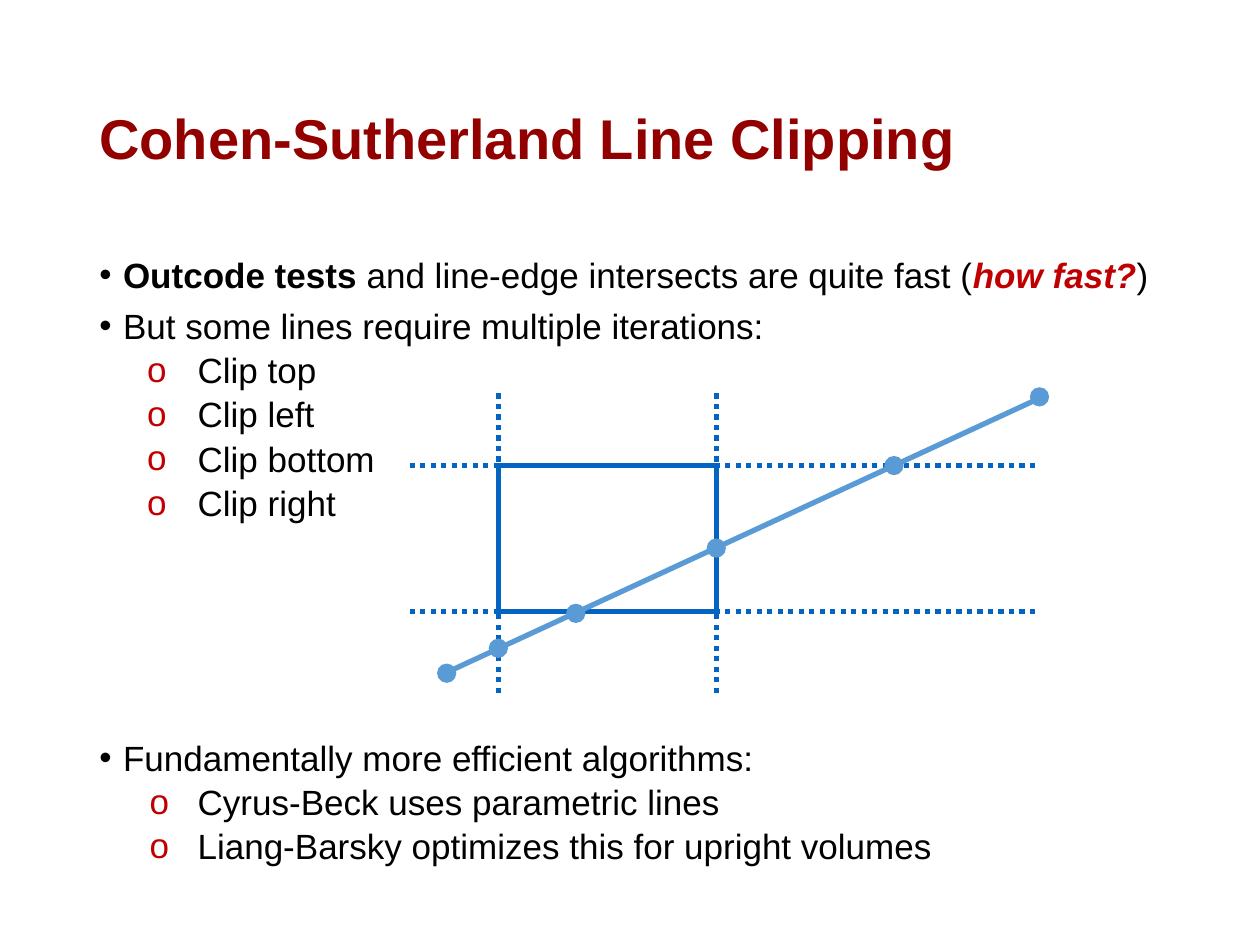
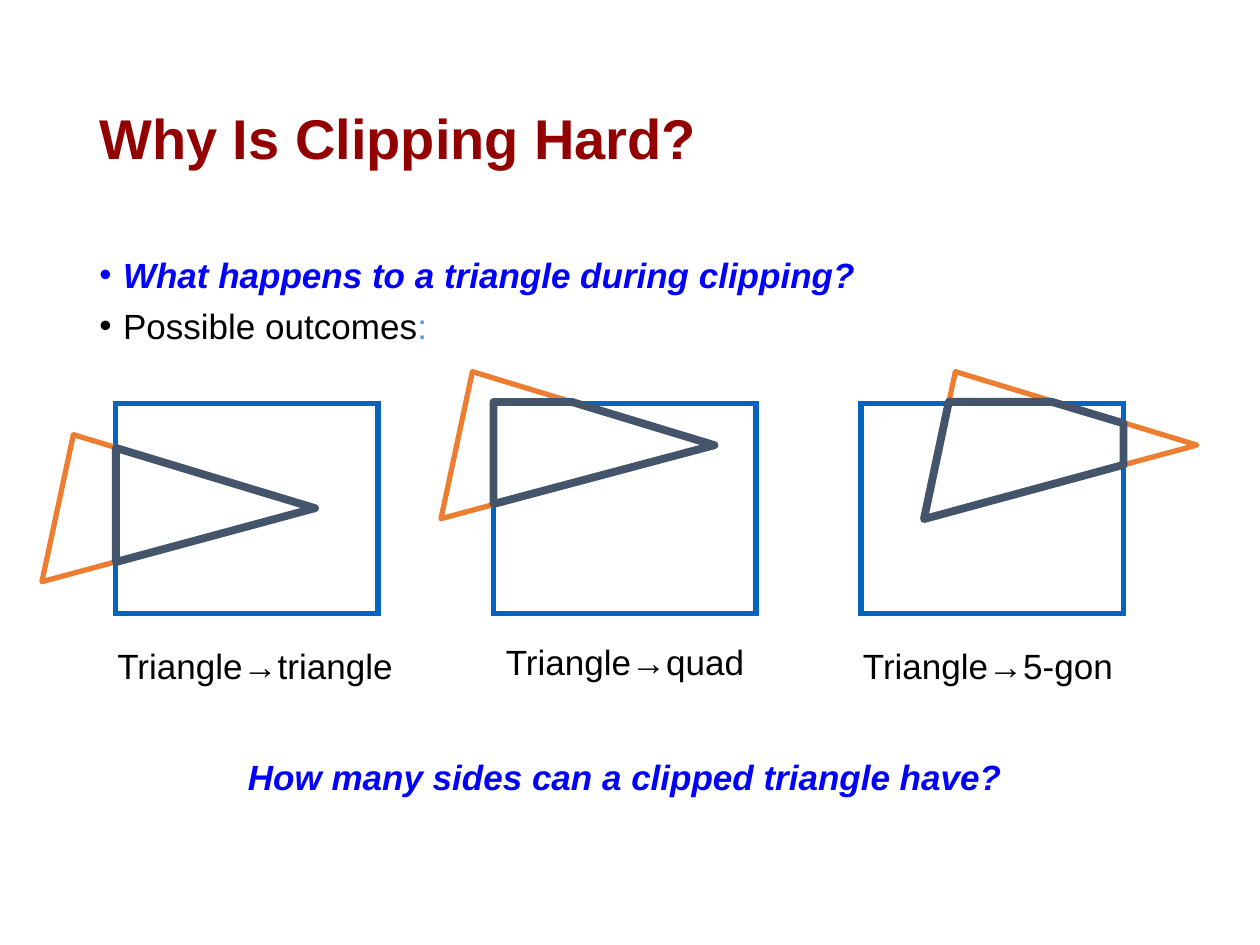
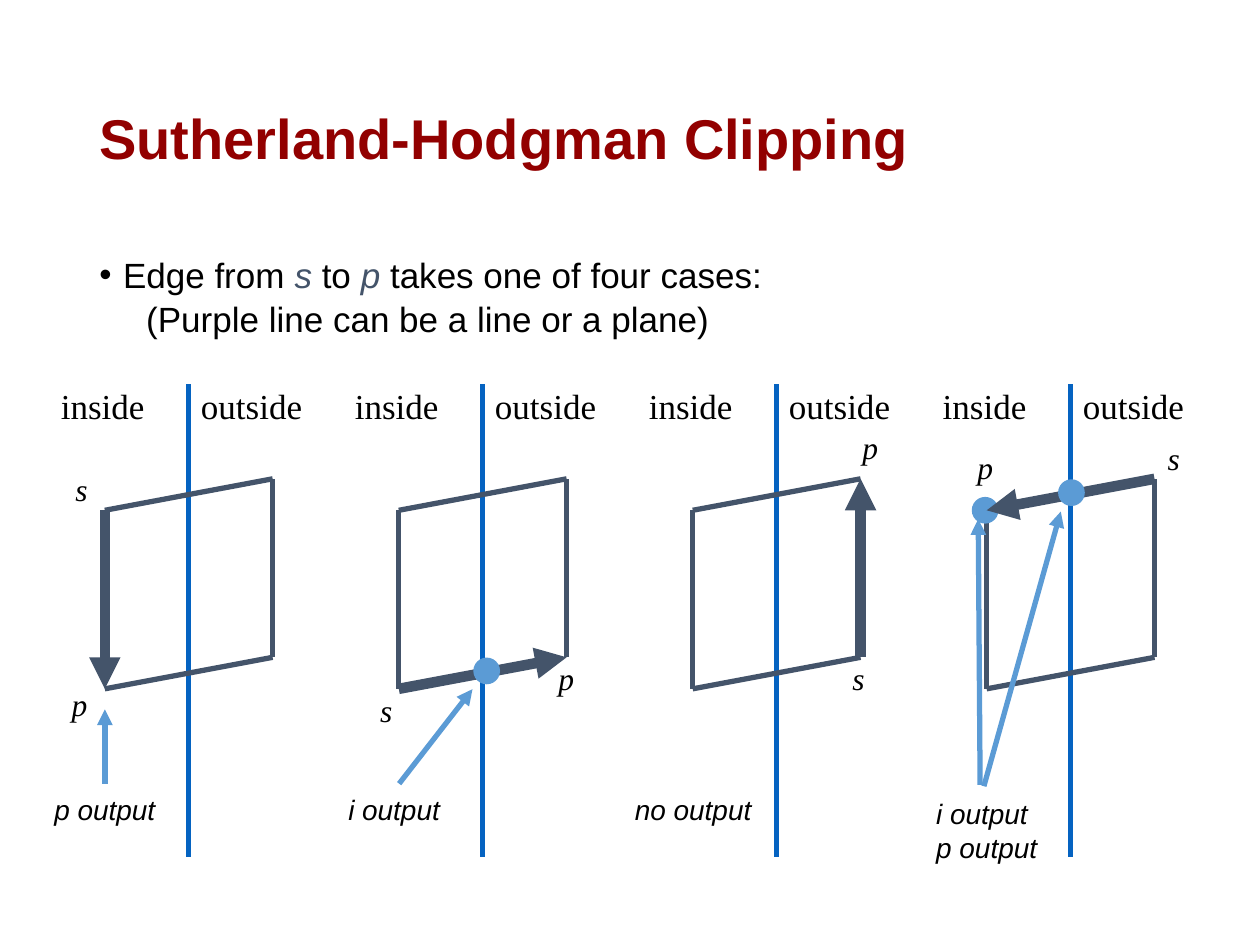
import dataclasses
import typing

import lxml.etree
import pptx
import pptx.dml.color
import pptx.enum.dml
import pptx.enum.shapes
import pptx.enum.text
import pptx.oxml.ns
import pptx.util

Point = tuple[float, float]
Box = tuple[float, float, float, float]
ALIGN = pptx.enum.text.PP_ALIGN
ANCHOR = pptx.enum.text.MSO_ANCHOR
FIT = pptx.enum.text.MSO_AUTO_SIZE
SHAPE = pptx.enum.shapes.MSO_SHAPE


@dataclasses.dataclass(frozen=True)
class Theme:
    sans: str = "Arial"
    serif: str = "Times New Roman"
    ink: str = "000000"
    paper: str = "FFFFFF"
    title: str = "920000"
    red: str = "C00000"
    ask: str = "0000FF"
    edge: str = "0563C1"
    sky: str = "5B9BD5"
    slate: str = "44546A"
    orange: str = "ED7D31"
    head: float = 32
    text: float = 20
    mark: float = 18
    note: float = 16
    line: float = 3
    core: float = 4.5
    bold: float = 6
    lead: float = 0.9


T = Theme()


@dataclasses.dataclass(frozen=True)
class Run:
    text: str
    color: str = T.ink
    bold: bool = False
    italic: bool = False


@dataclasses.dataclass(frozen=True)
class Item:
    """A list paragraph; left and hang are in columns, before in points."""
    runs: tuple[Run, ...]
    left: float = 1.88
    hang: float = 1.88
    mark: str = "•"
    tint: str = ""
    before: float = 7.5
    level: int = 0


@dataclasses.dataclass(frozen=True)
class Clip:
    """A window, a triangle, and the part of it that stays."""
    left: float
    tri: Point
    core: tuple[Point, ...]
    name: str
    spot: Box


@dataclasses.dataclass(frozen=True)
class Case:
    """One edge case; columns count from the left of the case."""
    edge: int
    s: Point
    p: Point
    note: str
    spot: Box
    arrows: tuple[tuple[Point, Point], ...] = ()
    ends: tuple[Point, ...] = ()
    hits: tuple[Point, ...] = ()


deck = pptx.Presentation()
deck.slide_width = pptx.util.Inches(10)
deck.slide_height = pptx.util.Inches(7.5)
COLS, ROWS = 100, 75


def col(n: float) -> int:
    return round(deck.slide_width * n / COLS)


def row(n: float) -> int:
    return round(deck.slide_height * n / ROWS)


def area(box: Box) -> tuple[int, int, int, int]:
    x, y, w, h = box
    return col(x), row(y), col(w), row(h)


def rgb(code: str) -> pptx.dml.color.RGBColor:
    return pptx.dml.color.RGBColor.from_string(code)


def node(parent: typing.Any, tag: str, **attrs: str) -> typing.Any:
    return lxml.etree.SubElement(parent, pptx.oxml.ns.qn(tag), attrs)


def put(para: typing.Any, text: str, *, size: float = T.text, font: str = T.sans,
        color: str = T.ink, bold: bool = False, italic: bool = False) -> None:
    """Add a run of text to a paragraph."""
    run = para.add_run()
    run.text = text
    face = run.font
    face.size, face.name = pptx.util.Pt(size), font
    face.bold, face.italic = bold, italic
    face.color.rgb = rgb(color)


def label(slide: typing.Any, text: str, box: Box, fill: str = "", **form: typing.Any) -> None:
    """Add a text box that grows with its lines."""
    shape = slide.shapes.add_textbox(*area(box))
    if fill:
        shape.fill.solid()
        shape.fill.fore_color.rgb = rgb(fill)
    frame = shape.text_frame
    frame.word_wrap, frame.auto_size = False, FIT.SHAPE_TO_FIT_TEXT
    frame.vertical_anchor = ANCHOR.MIDDLE
    for i, line in enumerate(text.split("\n")):
        put(frame.add_paragraph() if i else frame.paragraphs[0], line, **form)


def stroke(line: typing.Any, color: str, width: float) -> None:
    line.color.rgb = rgb(color)
    line.width = pptx.util.Pt(width)


def link(slide: typing.Any, start: Point, end: Point, color: str, width: float = T.line,
         dots: bool = False, arrow: bool = False) -> None:
    wire = slide.shapes.add_connector(
        pptx.enum.shapes.MSO_CONNECTOR.STRAIGHT,
        col(start[0]), row(start[1]), col(end[0]), row(end[1]))
    stroke(wire.line, color, width)
    if dots:
        wire.line.dash_style = pptx.enum.dml.MSO_LINE.ROUND_DOT
    if arrow:
        node(wire.line._get_or_add_ln(), "a:tailEnd", type="triangle")
    node(wire._element.spPr, "a:effectLst")


def solid(slide: typing.Any, kind: typing.Any, box: Box, fill: str, edge: str) -> None:
    shape = slide.shapes.add_shape(kind, *area(box))
    shape.shadow.inherit = False
    shape.fill.solid()
    shape.fill.fore_color.rgb = rgb(fill)
    stroke(shape.line, edge, T.line)
    node(shape.line._get_or_add_ln(), "a:miter", lim="800000")


def dot(slide: typing.Any, mid: Point, size: float) -> None:
    box = (mid[0] - size / 2, mid[1] - size / 2, size, size)
    solid(slide, SHAPE.OVAL, box, T.sky, T.sky)


def ring(slide: typing.Any, points: typing.Sequence[Point], color: str, width: float) -> None:
    """Draw a closed outline with no fill."""
    spots = [(col(x), row(y)) for x, y in points]
    pen = slide.shapes.build_freeform(*spots[0])
    pen.add_line_segments(spots[1:], close=True)
    shape = pen.convert_to_shape()
    shape.shadow.inherit = False
    shape.fill.background()
    stroke(shape.line, color, width)


def fill_list(frame: typing.Any, items: typing.Sequence[Item]) -> None:
    for i, item in enumerate(items):
        para = frame.add_paragraph() if i else frame.paragraphs[0]
        para.level = item.level
        props = para._p.get_or_add_pPr()
        props.set("marL", str(col(item.left)))
        props.set("indent", str(-col(item.hang)))
        if item.tint:
            node(node(props, "a:buClr"), "a:srgbClr", val=item.tint)
        if item.mark:
            node(props, "a:buFont", typeface=T.sans)
            node(props, "a:buChar", char=item.mark)
        else:
            node(props, "a:buNone")
        para.line_spacing = T.lead
        para.space_before = pptx.util.Pt(item.before if i else 0)
        for run in item.runs:
            put(para, run.text, color=run.color, bold=run.bold, italic=run.italic)


def page(title: str, items: typing.Sequence[Item], tall: float = 47.6) -> typing.Any:
    """Add a slide with its title and list."""
    slide = deck.slides.add_slide(deck.slide_layouts[1])
    head, body = slide.placeholders
    spots = ((head, (6.88, 4, 86.25, 14.5), ANCHOR.MIDDLE),
             (body, (6.88, 19.97, 86.25, tall), ANCHOR.TOP))
    for holder, box, anchor in spots:
        holder.left, holder.top, holder.width, holder.height = area(box)
        frame = holder.text_frame
        frame.word_wrap, frame.auto_size = True, FIT.NONE
        frame.vertical_anchor = anchor
    para = head.text_frame.paragraphs[0]
    para.alignment, para.line_spacing = ALIGN.LEFT, T.lead
    put(para, title, size=T.head, color=T.title, bold=True)
    fill_list(body.text_frame, items)
    return slide


def sub(text: str, hang: float) -> Item:
    return Item((Run(text),), 7.8, hang, "o", T.red, 3.75, 1)


def lines() -> None:
    sides = [sub(f"Clip {side}", 4) for side in ("top", "left", "bottom", "right")]
    slide = page("Cohen-Sutherland Line Clipping", [
        Item((Run("Outcode tests ", bold=True),
              Run("and line-edge intersects are quite fast ("),
              Run("how fast?", T.red, True, True), Run(")"))),
        Item((Run("But some lines require multiple iterations:"),)),
        *sides,
        Item((Run("Fundamentally more efficient algorithms:"),), before=124),
        sub("Cyrus-Beck uses parametric lines", 3.8),
        sub("Liang-Barsky optimizes this for upright volumes", 3.8),
    ], 52.1)
    left, right, top, base = 39.55, 56.85, 36.93, 48.52
    for y in (top, base):
        link(slide, (left, y), (right, y), T.edge)
        link(slide, (32.5, y), (82.3, y), T.edge, dots=True)
    for x in (left, right):
        link(slide, (x, base), (x, top), T.edge)
        link(slide, (x, 55), (x, 30.8), T.edge, dots=True)
    link(slide, (35.6, 53.3), (82.3, 31.7), T.sky)
    for mid in ((82.5, 31.5), (70.95, 36.95), (right, 43.5),
                (45.7, 48.68), (left, 51.45), (35.45, 53.43)):
        dot(slide, mid, 1.1)


def clips() -> None:
    slide = page("Why Is Clipping Hard?", [
        Item((Run("What happens to a triangle during clipping?", T.ask, True, True),)),
        Item((Run("Possible outcomes"), Run(":", T.sky))),
    ])
    for clip in (
        Clip(9.17, (3.33, 34.5), ((9.2, 35.55), (25, 40.33), (9.2, 44.6)),
             "Triangle→triangle", (8.33, 50.7, 23.9, 4.3)),
        Clip(39.17, (35, 29.5), ((45.4, 31.9), (56.7, 35.33), (39.17, 40), (39.17, 31.9)),
             "Triangle→quad", (39.17, 50.35, 21, 4.3)),
        Clip(68.33, (73.33, 29.5),
             ((75.3, 31.9), (83.5, 31.9), (89.17, 33.6), (89.17, 36.9), (73.33, 41.2)),
             "Triangle→5-gon", (67.5, 50.7, 21.9, 4.3)),
    ):
        x, y = clip.tri
        solid(slide, SHAPE.RECTANGLE, (clip.left, 32, 20.83, 16.67), T.paper, T.edge)
        ring(slide, ((x + 2.5, y), (x + 21.67, y + 5.83), (x, y + 11.67)), T.orange, T.line)
        ring(slide, clip.core, T.slate, T.core)
        label(slide, clip.name, clip.spot)
    frame = slide.shapes.add_textbox(*area((7.5, 59.85, 84.2, 4.7))).text_frame
    frame.word_wrap = True
    para = frame.paragraphs[0]
    para.alignment, para.line_spacing = ALIGN.CENTER, T.lead
    put(para, "How many sides can a clipped triangle have?",
        color=T.ask, bold=True, italic=True)


def draw(slide: typing.Any, case: Case, left: float) -> None:
    def move(point: Point) -> Point:
        return left + point[0], point[1]

    quad = [move(p) for p in ((8.32, 40.5), (8.32, 54.67), (21.64, 52.17), (21.64, 38))]
    edges = list(zip(quad, quad[1:] + quad[:1]))
    link(slide, move((14.97, 30.5)), move((14.97, 68)), T.edge)
    for x, wide, side in ((3.85, 9, "inside"), (14.97, 10.4, "outside")):
        label(slide, side, (left + x, 30, wide, 4.3), font=T.serif)
    for i, (start, end) in enumerate(edges):
        if i != case.edge:
            link(slide, start, end, T.slate)
    for name, spot, wide in (("s", case.s, 3.3), ("p", case.p, 3.7)):
        label(slide, name, (*move(spot), wide, 5), size=T.mark, font=T.serif, italic=True)
    x, y, w, h = case.spot
    label(slide, case.note, (left + x, y, w, h), T.paper, size=T.note, italic=True)
    for start, end in case.arrows:
        link(slide, move(start), move(end), T.sky, arrow=True)
    for mid in case.ends:
        dot(slide, move(mid), 1.7)
    link(slide, *edges[case.edge], T.slate, T.bold, arrow=True)
    for mid in case.hits:
        dot(slide, move(mid), 1.7)


def cases() -> None:
    slide = page("Sutherland-Hodgman Clipping", [
        Item((Run("Edge from "), Run("s", T.slate, italic=True), Run(" to "),
              Run("p ", T.slate, italic=True), Run("takes one of four cases:"))),
        Item((Run("(Purple line can be a line or a plane)"),),
             5.6, 1.88, "", before=3.75, level=1),
    ])
    for i, case in enumerate((
        Case(0, (5, 36.3), (4.7, 53.35), "p output", (3.33, 62.4, 10.1, 3.7),
             (((8.33, 62.2), (8.33, 56.3)),)),
        Case(1, (5.85, 53.85), (20, 51.3), "i output", (3.33, 62.4, 9.3, 3.7),
             (((8.35, 62.2), (14.17, 54.7)),), hits=((15.3, 53.25),)),
        Case(2, (20, 51.3), (20.8, 33), "no output", (2.75, 62.4, 11.3, 3.7)),
        Case(3, (21.7, 33.85), (6.6, 34.55), "i output\np output", (3.33, 62.7, 10.1, 6.4),
             (((8.1, 62.4), (14.2, 40.6)), ((7.8, 62.3), (7.65, 41.2))),
             ((8.2, 40.5),), ((15.05, 39.1),)),
    )):
        draw(slide, case, i * 23.33)


def main() -> None:
    lines()
    clips()
    cases()
    deck.save("out.pptx")


if __name__ == "__main__":
    main()
